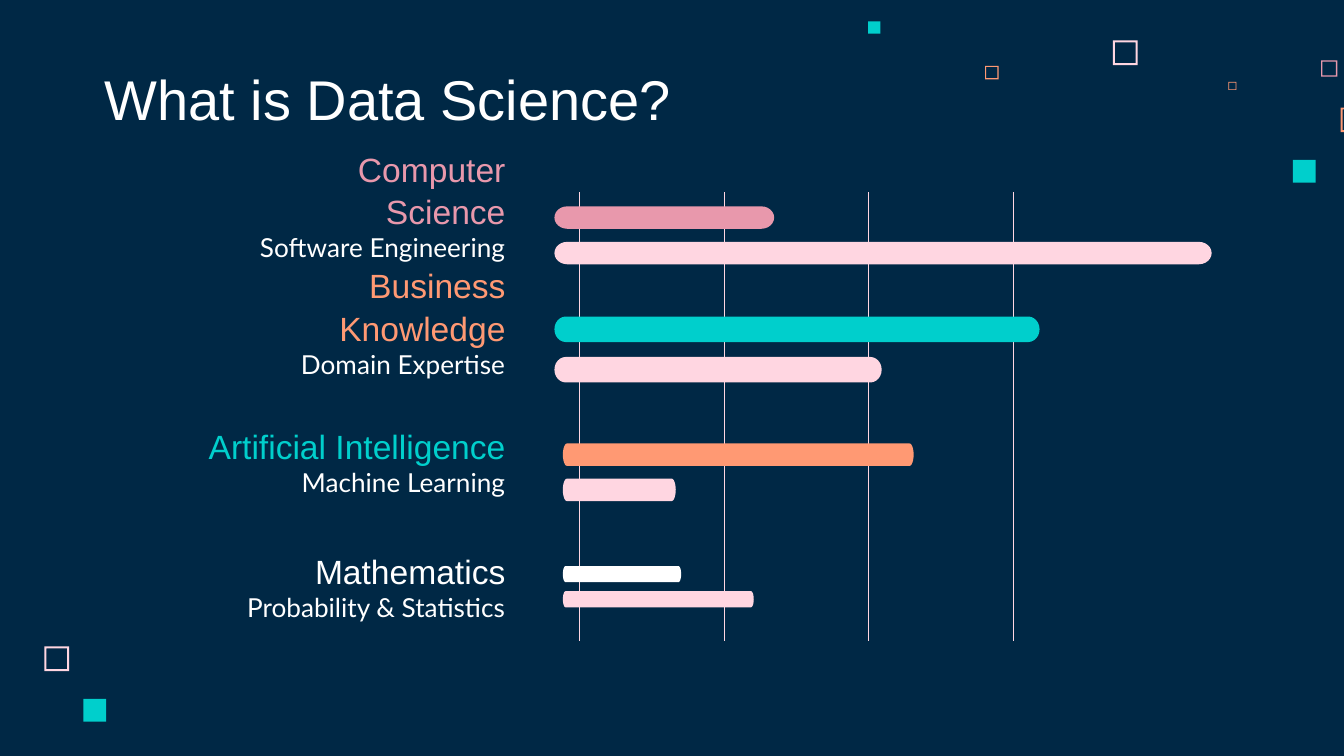
from math import cos, pi, sin

from lxml import etree
from pptx import Presentation, util as u
from pptx.dml.color import RGBColor
from pptx.enum import shapes, text
from pptx.oxml import ns

NAVY = RGBColor(0x00, 0x28, 0x45)
WHITE = RGBColor(0xFF, 0xFF, 0xFF)
BLUSH = RGBColor(0xFF, 0xD6, 0xE1)
ROSE = RGBColor(0xE8, 0x98, 0xAC)
CORAL = RGBColor(0xFF, 0x99, 0x73)
TEAL = RGBColor(0x00, 0xCF, 0xCC)

# All lengths are cells of a grid, 100 columns by 56.25 rows
COLS, ROWS = 100, 56.25
CELL = u.Inches(10) // COLS
RIGHT = 38.6  # common right edge of the labels

# Squares: left, top, side, colour, filled
SQUARES = [
    (82.8, 3, 1.84, BLUSH, False),
    (98.3, 4.5, 1.2, ROSE, False),
    (91.4, 6.1, 0.6, CORAL, False),
    (99.75, 8, 1.84, CORAL, False),
    (96.2, 11.9, 1.7, TEAL, True),
    (73.3, 4.9, 1, CORAL, False),
    (64.6, 1.6, 0.9, TEAL, True),
    (3.3, 48.1, 1.84, BLUSH, False),
    (6.2, 52, 1.7, TEAL, True),
]

# Topics: top, heading, heading width, detail, heading colour,
# then bars: left, first drop, pitch, height, end radius, lengths, colour
TOPICS = [
    (13.9, "Computer Science", 20.6, "Software Engineering", ROSE,
     (41.25, 1.46, 2.64, 1.67, 0.95, (16.35, 48.9), ROSE)),
    (22.6, "Business Knowledge", 24.5, "Domain Expertise", CORAL,
     (41.25, 0.95, 3.01, 1.9, 0.85, (36.1, 24.35), TEAL)),
    (31.4, "Artificial Intelligence", 29.2, "Machine Learning", TEAL,
     (41.88, 1.6, 2.62, 1.67, 0.3, (26.1, 8.4), CORAL)),
    (40.7, "Mathematics", 20.6, "Probability & Statistics", WHITE,
     (41.88, 1.42, 1.87, 1.2, 0.2, (8.8, 14.2), WHITE)),
]


def cells(*nums):
    return [round(n * CELL) for n in nums]


def paint(shape, color):
    shape.shadow.inherit = False
    shape.fill.solid()
    shape.fill.fore_color.rgb = color
    shape.line.fill.background()


def write(shape, box, words, size, face, color, anchor, align):
    shape.left, shape.top, shape.width, shape.height = cells(*box)
    frame = shape.text_frame
    frame.text = words
    frame.word_wrap = True
    frame.auto_size = text.MSO_AUTO_SIZE.NONE
    frame.vertical_anchor = anchor
    frame.margin_left = frame.margin_right = CELL
    frame.margin_top = frame.margin_bottom = CELL
    para = frame.paragraphs[0]
    if shape.is_placeholder:
        props = para._p.get_or_add_pPr()
        props.set("marL", "0")
        props.set("indent", "0")
        etree.SubElement(props, ns.qn("a:buNone"))
    para.alignment = align
    para.space_before = u.Pt(0)
    para.font.size = u.Pt(size)
    para.font.name = face
    para.font.bold = False
    para.font.color.rgb = color
    return para


def decor(slide):
    for left, top, side, color, full in SQUARES:
        kind = shapes.MSO_SHAPE.RECTANGLE if full else shapes.MSO_SHAPE.FRAME
        box = slide.shapes.add_shape(kind, *cells(left, top, side, side))
        if not full:
            box.adjustments[0] = 0.08
        paint(box, color)


def rules(slide, left, top, width, height, count):
    for i in range(count):
        x = left + width * i / (count - 1)
        line = slide.shapes.add_connector(
            shapes.MSO_CONNECTOR.STRAIGHT, *cells(x, top, x, top + height))
        line.line.color.rgb = BLUSH
        line.line.width = u.Pt(0.25)
        etree.SubElement(line._element.spPr, ns.qn("a:effectLst"))


def bar(slide, left, top, width, height, bend, color):
    """A bar with half-ellipse ends of the given radius."""
    steps, mid = 12, top + height / 2
    points = []
    for edge, turn in ((left + width - bend, -pi / 2), (left + bend, pi / 2)):
        for i in range(steps + 1):
            angle = turn + pi * i / steps
            points.append(cells(edge + bend * cos(angle),
                                mid + height / 2 * sin(angle)))
    pen = slide.shapes.build_freeform(*points[0])
    pen.add_line_segments(points[1:], close=True)
    paint(pen.convert_to_shape(), color)


def topic(slide, body, top, head, width, detail, color, bars):
    # Heading above its detail line
    label = slide.shapes.add_textbox(0, 0, CELL, CELL)
    para = write(label, (RIGHT - width, top, width, 4.3), head, 18, "Arial",
                 color, text.MSO_ANCHOR.BOTTOM, text.PP_ALIGN.RIGHT)
    para.line_spacing = 1.05
    write(body, (RIGHT - 26, top + 2.3, 26, 7.1), detail, 14, "Lato",
          WHITE, text.MSO_ANCHOR.TOP, text.PP_ALIGN.RIGHT)

    # Pair of bars beside the labels
    left, drop, pitch, height, bend, sizes, tint = bars
    for i, (size, hue) in enumerate(zip(sizes, (tint, BLUSH))):
        bar(slide, left, top + drop + i * pitch, size, height, bend, hue)


def main():
    deck = Presentation()
    deck.slide_width, deck.slide_height = cells(COLS, ROWS)
    slide = deck.slides.add_slide(deck.slide_layouts[4])
    slide.background.fill.solid()
    slide.background.fill.fore_color.rgb = NAVY

    decor(slide)
    title, *bodies = list(slide.placeholders)[:5]
    write(title, (6.8, 4.5, 51.7, 6.3), "What is Data Science?", 30, "Arial",
          WHITE, text.MSO_ANCHOR.BOTTOM, text.PP_ALIGN.LEFT)
    rules(slide, 43.1, 14.3, 32.3, 33.4, 4)
    for body, row in zip(bodies, TOPICS):
        topic(slide, body, *row)

    deck.save("out.pptx")


if __name__ == "__main__":
    main()
